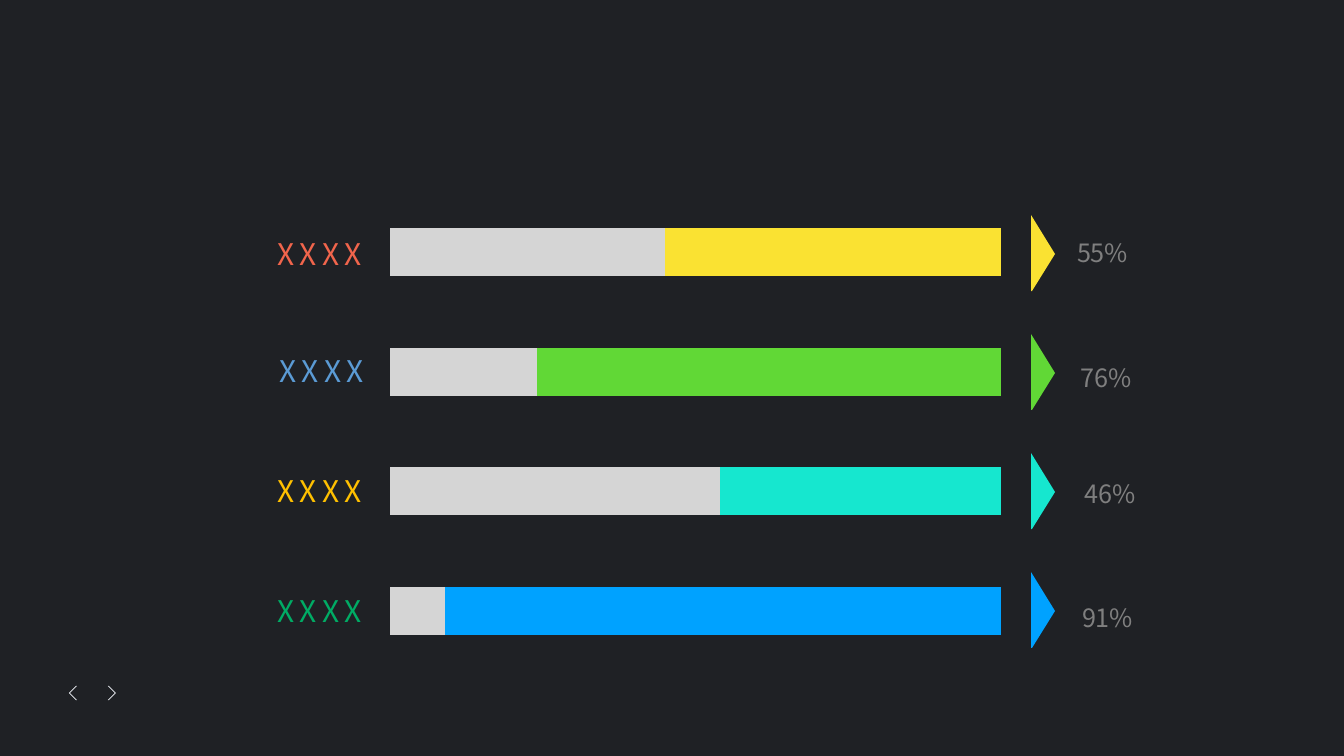
from lxml import etree
from pptx import Presentation
from pptx.chart.data import CategoryChartData
from pptx.dml.color import RGBColor
from pptx.enum.chart import XL_CHART_TYPE, XL_LABEL_POSITION
from pptx.enum.text import MSO_AUTO_SIZE, PP_ALIGN
from pptx.oxml.ns import qn
from pptx.util import Pt

STACKED_BARS = XL_CHART_TYPE.BAR_STACKED_100
INSIDE_END = XL_LABEL_POSITION.INSIDE_END
GROW = MSO_AUTO_SIZE.SHAPE_TO_FIT_TEXT
RIGHT = PP_ALIGN.RIGHT
EMU_PER_PX = 914400 / 100.8
FONT = "Noto Sans CJK SC"
COLORS = {
    "background": "1F2125", "navigation": "F6F9FF", "rest": "D5D5D5",
    "percent": "7F7F7F", "black": "000000",
    "yellow": "FAE232", "green": "61D836", "teal": "16E7CF", "blue": "00A2FF",
    "red": "F1654C", "steel": "5B9BD5", "amber": "FFC000", "emerald": "00AC65",
}
RESTS = (0.45, 0.24, 0.54, 0.09)
SHARES = (0.55, 0.76, 0.46, 0.91)
BAR_COLORS = ("yellow", "green", "teal", "blue")
PERCENT_SHIFTS = ((131, -1), (135, 4), (139, 1), (136, 6))
ROW_LABELS = ((266, 231, "red"), (268, 348, "steel"),
              (266, 468, "amber"), (266, 588, "emerald"))
ARROW = ((0, 0), (24, 39), (1, 76), (0, 76))
PREVIOUS = ((7, 0), (0, 7), (7, 14), (8, 14), (1, 7), (8, 0))
NEXT = tuple((8 - x, y) for x, y in PREVIOUS)


def px(length):
    """Turn a length in px into EMU."""
    return round(length * EMU_PER_PX)


def paint(fill, color):
    """Fill with a solid named colour."""
    fill.solid()
    fill.fore_color.rgb = RGBColor.from_string(COLORS[color])


def style_font(font, name, size, color):
    """Set the typeface, size and colour of a font."""
    font.name = name
    font.size = Pt(size)
    font.color.rgb = RGBColor.from_string(COLORS[color])


def add_outline(page, left, top, points, color):
    """Draw a closed polygon whose points are relative to left and top."""
    corners = [(left + x, top + y) for x, y in points]
    builder = page.shapes.build_freeform(*corners[0], scale=EMU_PER_PX)
    builder.add_line_segments(corners[1:], close=True)
    shape = builder.convert_to_shape()
    shape.shadow.inherit = False
    paint(shape.fill, color)
    shape.line.fill.background()


def add_layout(parent, position, **values):
    """Insert a manual chart layout at a position within its parent."""
    for stale in parent.findall(qn("c:layout")):
        parent.remove(stale)
    layout = etree.Element(qn("c:layout"))
    manual = etree.SubElement(layout, qn("c:manualLayout"))
    for name, value in values.items():
        etree.SubElement(manual, qn(f"c:{name}"), val=str(value))
    parent.insert(position, layout)


def add_bars(page, left, top, width, height):
    """Place the stacked bar chart with its shifted percent labels."""
    data = CategoryChartData(number_format="0%")
    data.categories = ["1", "2", "3", "4"]
    data.add_series("Series 1", RESTS)
    data.add_series("Series 2", SHARES)
    box = [px(length) for length in (left, top, width, height)]
    chart = page.shapes.add_chart(STACKED_BARS, *box, data).chart
    chart.has_legend = False
    chart.has_title = False
    style_font(chart.font, "Arial", 10, "black")
    chart.category_axis.reverse_order = True
    chart.value_axis.has_major_gridlines = False
    for axis in (chart.category_axis, chart.value_axis):
        axis.visible = False
    plot = chart.plots[0]
    plot.gap_width = 150
    plot.overlap = 100
    area = chart.element.find(".//" + qn("c:plotArea"))
    add_layout(area, 0, layoutTarget="inner", xMode="edge", yMode="edge",
               x=0.105, y=0.034, w=0.613, h=0.793)

    rest, share = plot.series
    paint(rest.format.fill, "rest")
    paint(share.format.fill, "teal")
    labels = share.data_labels
    labels.show_value = True
    labels.position = INSIDE_END
    labels.number_format = "0%"
    labels.number_format_is_linked = False
    style_font(labels.font, FONT, 18, "percent")
    for index, (color, (right, down)) in enumerate(zip(BAR_COLORS, PERCENT_SHIFTS)):
        point = share.points[index]
        paint(point.format.fill, color)
        style_font(point.data_label.font, FONT, 18, "percent")
        point.data_label.position = INSIDE_END
    for item, (right, down) in zip(chart.element.iter(qn("c:dLbl")), PERCENT_SHIFTS):
        add_layout(item, 1, x=round(right / width, 3), y=round(down / height, 3))
    for leader in chart.element.iter(qn("c:showLeaderLines")):
        leader.set("val", "0")


def add_arrows(page, left, top, step):
    """Place one coloured arrow at the end of each bar."""
    for index, color in enumerate(BAR_COLORS):
        add_outline(page, left, top + index * step, ARROW, color)


def add_row_label(page, left, top, color):
    """Place the spaced label in front of a bar."""
    box = page.shapes.add_textbox(px(left), px(top), px(106), px(46))
    frame = box.text_frame
    frame.word_wrap = False
    frame.auto_size = GROW
    para = frame.paragraphs[0]
    para.alignment = RIGHT
    span = para.add_run()
    span.text = "XXXX"
    style_font(span.font, FONT, 21.3, color)
    span.font._element.set("spc", "400")


def add_navigation(page, left, top):
    """Place the previous and next chevrons."""
    add_outline(page, left, top, PREVIOUS, "navigation")
    add_outline(page, left + 39, top, NEXT, "navigation")


def main():
    """Build the slide and save the deck."""
    deck = Presentation()
    deck.slide_width, deck.slide_height = px(1344), px(756)
    page = deck.slides.add_slide(deck.slide_layouts[6])
    paint(page.background.fill, "background")
    add_navigation(page, 69, 686)
    add_bars(page, 285, 172, 998, 603)
    add_arrows(page, 1031, 215, 119)
    for left, top, color in ROW_LABELS:
        add_row_label(page, left, top, color)
    deck.save("out.pptx")


if __name__ == "__main__":
    main()
